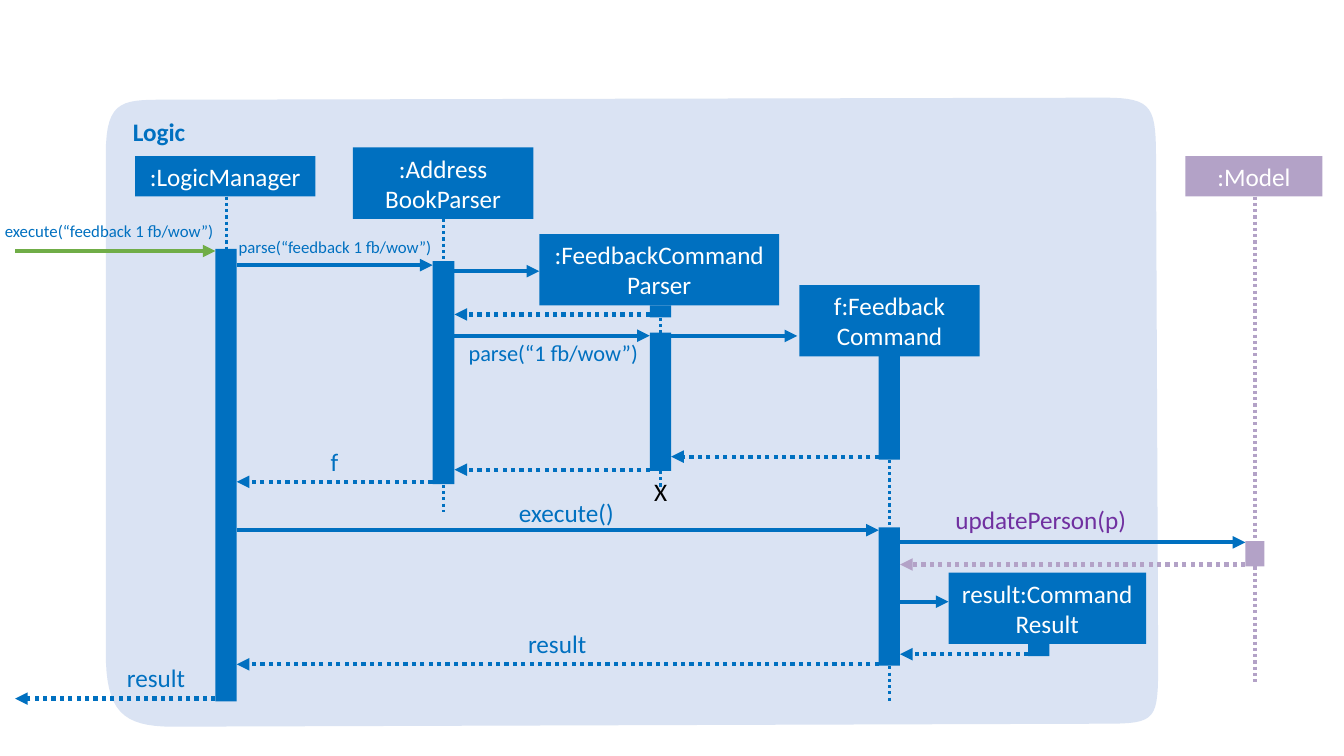
"""Builds a sequence diagram of the feedback command inside the Logic component."""
from lxml import etree
from pptx import Presentation
from pptx.dml.color import RGBColor
from pptx.enum.dml import MSO_LINE
from pptx.enum.shapes import MSO_CONNECTOR, MSO_SHAPE
from pptx.enum.text import MSO_ANCHOR, MSO_AUTO_SIZE, PP_ALIGN
from pptx.oxml.ns import qn
from pptx.util import Pt

STRAIGHT, RECT = MSO_CONNECTOR.STRAIGHT, MSO_SHAPE.RECTANGLE
DOTTED = MSO_LINE.ROUND_DOT
CENTER, MIDDLE = PP_ALIGN.CENTER, MSO_ANCHOR.MIDDLE
GROW = MSO_AUTO_SIZE.SHAPE_TO_FIT_TEXT

BLUE = RGBColor(0x00, 0x70, 0xC0)
LILAC = RGBColor(0xB3, 0xA2, 0xC7)
PURPLE = RGBColor(0x70, 0x30, 0xA0)
GREEN = RGBColor(0x70, 0xAD, 0x47)
PALE = RGBColor(0xDA, 0xE3, 0xF3)
DOT = RGBColor(0x44, 0x72, 0xC4)
WHITE = RGBColor(0xFF, 0xFF, 0xFF)
BLACK = RGBColor(0x00, 0x00, 0x00)
FONT = "Calibri"

FRAME_START = (75.6, 110.2)
FRAME_SIDES = [
    [(75.6, 69.1), (88.6, 71.3), (124.6, 71.3)],
    [(788.4, 69.8)],
    [(825.1, 69.8), (825.8, 77), (825.8, 118.1)],
    [(827.3, 473)],
    [(827.3, 514.1), (826.6, 517), (789.8, 517)],
    [(123.1, 519.1)],
    [(87.1, 519.1), (75.6, 507.6), (75.6, 465.8)],
]

# axis x, bar width, colour, bars (top, bottom), dotted stretches (top, bottom)
LIFELINES = {
    "manager": (161.5, 15.2, BLUE, [(177.8, 501.1)], [(140.4, 177.8)]),
    "book": (316.8, 15.6, BLUE, [(186.5, 345.9)], [(156.2, 186.5), (346.3, 365.8)]),
    "parser": (471.8, 15.2, BLUE, [(218.2, 226.8), (237.6, 336.4)],
               [(226.8, 237.6), (336.4, 348.5)]),
    "command": (635.3, 15.2, BLUE, [(254.2, 328.3), (376.6, 475.4)],
                [(328.3, 376.6), (475.9, 501.1)]),
    "result": (742, 15.2, BLUE, [(460.1, 468.7)], []),
    "model": (896.4, 13.7, LILAC, [(386.6, 404.6)], [(140.4, 386.6), (404.6, 488.2)]),
}

# lines, centre x, top, width, colour
HEADERS = [
    ([":LogicManager"], 160.9, 111.6, 128.9, BLUE),
    ([":Address", "BookParser"], 316.5, 105.3, 128.9, BLUE),
    ([":FeedbackCommand", "Parser"], 470.9, 167.2, 171.4, BLUE),
    (["f:Feedback", "Command"], 635.4, 203.6, 128.9, BLUE),
    (["result:CommandResult"], 748.1, 409, 141.1, BLUE),
    ([":Model"], 895.7, 111.6, 97.9, LILAC),
]
ONE_LINE, TWO_LINES = 28.8, 51

# y, from, to (lifeline or x), colour
CALLS = [
    (179.3, 10.8, "manager", GREEN),
    (189.4, "manager", "book", BLUE),
    (193.7, "book", 385.2, BLUE),
    (239.8, "book", "parser", BLUE),
    (240, "parser", 569.5, BLUE),
    (378.7, "manager", "command", BLUE),
    (387.4, "command", "model", BLUE),
    (429.8, "command", 677.5, BLUE),
]
RETURNS = [
    (224.6, "parser", "book", BLUE),
    (326.2, "command", "parser", BLUE),
    (335.5, "parser", "book", BLUE),
    (344.2, "book", "manager", BLUE),
    (403.2, "model", "command", LILAC),
    (467.3, "result", "command", BLUE),
    (474.5, "command", "manager", BLUE),
    (499, "manager", 10.8, BLUE),
]

# text, left, top, width, height, size, colour, bold
LABELS = [
    ("Logic", 87.8, 79.2, 52.6, 29, 18, BLUE, True),
    ("execute(“feedback 1 fb/wow”)", -3.6, 154.1, 165.6, 21.8, 12, BLUE, False),
    ("parse(“feedback 1 fb/wow”)", 163.4, 165.6, 154.1, 21.8, 12, BLUE, False),
    ("parse(“1 fb/wow”)", 327.6, 239, 137.5, 26.6, 16, BLUE, False),
    ("f", 229, 315.4, 20.2, 29, 18, BLUE, False),
    ("X", 460.1, 336.4, 23.8, 29, 18, BLACK, False),
    ("execute()", 363.6, 351.4, 82.8, 29, 18, BLUE, False),
    ("updatePerson(p)", 675.4, 356.4, 137.5, 29, 18, PURPLE, False),
    ("result", 370.1, 445, 56.9, 29, 18, BLUE, False),
    ("result", 83.5, 469.4, 56.9, 29, 18, BLUE, False),
]


def bezier(p0, p1, p2, p3, steps=16):
    points = []
    for i in range(1, steps + 1):
        t = i / steps
        u = 1 - t
        points.append(tuple(u**3 * a + 3 * u * u * t * b + 3 * u * t * t * c + t**3 * d
                            for a, b, c, d in zip(p0, p1, p2, p3)))
    return points


def paint(sp, color):
    sp.shadow.inherit = False
    sp.fill.solid()
    sp.fill.fore_color.rgb = color
    sp.line.fill.background()


def add_frame(shapes):
    points = [FRAME_START]
    for side in FRAME_SIDES:
        points += bezier(points[-1], *side) if len(side) == 3 else side
    pts = [(Pt(x), Pt(y)) for x, y in points]
    builder = shapes.build_freeform(*pts[0], scale=1.0)
    builder.add_line_segments(pts[1:], close=True)
    paint(builder.convert_to_shape(), PALE)


def add_rect(shapes, left, top, width, height, color):
    sp = shapes.add_shape(RECT, Pt(left), Pt(top), Pt(width), Pt(height))
    paint(sp, color)
    return sp


def add_line(shapes, x1, y1, x2, y2, color, width, dotted=False, arrow=False):
    line = shapes.add_connector(STRAIGHT, Pt(x1), Pt(y1), Pt(x2), Pt(y2))
    line.line.color.rgb = color
    line.line.width = Pt(width)
    if dotted:
        line.line.dash_style = DOTTED
    if arrow:
        etree.SubElement(line.line._get_or_add_ln(), qn("a:tailEnd"), type="triangle")
    etree.SubElement(line._element.spPr, qn("a:effectLst"))


def write(tf, lines, size, color, bold=False, align=None):
    for i, text in enumerate(lines):
        p = tf.add_paragraph() if i else tf.paragraphs[0]
        p.text = text
        p.alignment = align
        p.font.name, p.font.size, p.font.bold = FONT, Pt(size), bold
        p.font.color.rgb = color


def add_header(shapes, lines, cx, top, width, color):
    height = ONE_LINE if lines[0] in (":LogicManager", ":Model") else TWO_LINES
    sp = add_rect(shapes, cx - width / 2, top, width, height, color)
    tf = sp.text_frame
    tf.word_wrap, tf.vertical_anchor = True, MIDDLE
    write(tf, lines, 18, WHITE, align=CENTER)


def add_label(shapes, text, left, top, width, height, size, color, bold):
    tf = shapes.add_textbox(Pt(left), Pt(top), Pt(width), Pt(height)).text_frame
    tf.word_wrap, tf.auto_size = False, GROW
    write(tf, [text], size, color, bold)


def axis_and_half(end):
    if end in LIFELINES:
        return LIFELINES[end][0], LIFELINES[end][1] / 2
    return end, 0


def add_message(shapes, y, source, target, color, dotted):
    (x1, half1), (x2, half2) = axis_and_half(source), axis_and_half(target)
    way = 1 if x2 > x1 else -1
    add_line(shapes, x1 + way * half1, y, x2 - way * half2, y, color, 3, dotted, True)


def main():
    prs = Presentation()
    prs.slide_width, prs.slide_height = Pt(960), Pt(540)
    shapes = prs.slides.add_slide(prs.slide_layouts[6]).shapes
    add_frame(shapes)
    add_line(shapes, 169.5, 160.2, 169.5, 160.2, DOT, 0.5)
    for x, width, color, bars, stretches in LIFELINES.values():
        for top, bottom in stretches:
            add_line(shapes, x, top, x, bottom, color, 2.25, dotted=True)
        for top, bottom in bars:
            add_rect(shapes, x - width / 2, top, width, bottom - top, color)
    for header in HEADERS:
        add_header(shapes, *header)
    for messages, dotted in ((CALLS, False), (RETURNS, True)):
        for message in messages:
            add_message(shapes, *message, dotted)
    for label in LABELS:
        add_label(shapes, *label)
    prs.save("out.pptx")


if __name__ == "__main__":
    main()
